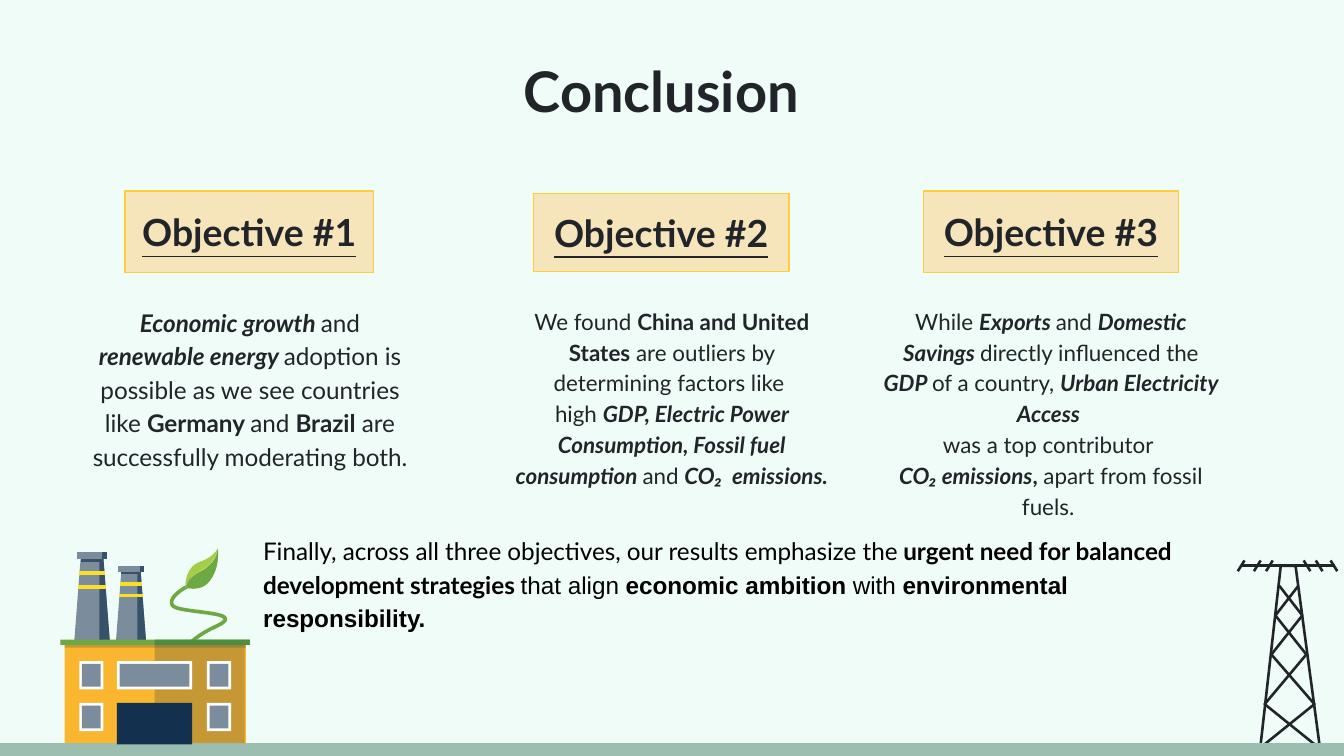
from lxml.etree import SubElement
from pptx import Presentation
from pptx.dml.color import RGBColor
from pptx.enum.shapes import MSO_SHAPE
from pptx.enum.text import MSO_ANCHOR, PP_ALIGN
from pptx.oxml.ns import qn
from pptx.util import Inches, Pt

COLORS = {
    "background": "F0FCF8", "ink": "212529", "black": "000000", "ground": "9BBEB0",
    "label": "F6E5BB", "label line": "FCCE39", "steel": "7B8C9D", "steel shade": "38516A",
    "stripe": "FBDE25", "wall": "F9B62E", "navy": "13304E", "green": "6EA843",
    "dark green": "4E8D3A", "lime": "A4CD49", "vein": "DBEBB7", "white": "FFFFFF",
}
OBJECTIVES = [
    ("Objective #1", (0.93, 1.42, 1.85, 0.61), (0.58, 2.16, 2.56, 2.36), 13, [
        [("Economic growth ", "bi"), ("and ", ""), ("renewable energy ", "bi"),
         ("adoption is possible as we see countries like ", ""), ("Germany ", "b"),
         ("and ", ""), ("Brazil", "b"), (" are successfully moderating both.", "")],
    ]),
    ("Objective #2", (3.97, 1.44, 1.9, 0.58), (3.72, 2.16, 2.56, 1.65), 12, [
        [("We found ", ""), ("China and United States", "b"),
         (" are outliers by determining factors like ", "")],
        [("high ", ""), ("GDP, Electric Power Consumption, Fossil fuel consumption ", "bi"),
         ("and ", ""), ("CO₂  emissions.", "bi")],
    ]),
    ("Objective #3", (6.87, 1.42, 1.9, 0.61), (6.44, 2.16, 2.76, 2.09), 12, [
        [("While ", ""), ("Exports ", "bi"), ("and ", ""), ("Domestic Savings ", "bi"),
         ("directly influenced the ", ""), ("GDP ", "bi"), ("of a country, ", ""),
         ("Urban Electricity Access ", "bi")],
        [("was a top contributor ", "")],
        [("CO₂ emissions", "bi"), (", ", "b"), ("apart from fossil fuels. ", "")],
    ]),
]
SUMMARY = [[
    ("Finally, across all three objectives, our results emphasize the ", "", "Lato"),
    ("urgent need for balanced development strategies ", "b", "Lato"),
    ("that align ", "", "Arial"), ("economic ambition", "b", "Arial"),
    (" with ", "", "Arial"), ("environmental responsibility.", "b", "Arial"),
]]
TOWER_LINES = [
    [(9.37, 5.63), (9.53, 4.21), (9.64, 4.21), (9.83, 5.63)],
    [(9.82, 5.57), (9.41, 5.24), (9.72, 4.87), (9.49, 4.58), (9.66, 4.36)],
    [(9.37, 5.57), (9.78, 5.24), (9.46, 4.87), (9.69, 4.58), (9.52, 4.36)],
    [(9.24, 4.21), (9.93, 4.21)],
]
RIGHT_TICKS = [9.7, 9.79, 9.9]
LEFT_TICKS = [9.21, 9.33, 9.42]
CHIMNEYS = [(0.55, 1), (0.86, 0.85)]
CHIMNEY_PARTS = [
    ("steel", [(0.05, 0.65), (0, 0), (0.27, 0), (0.22, 0.65)]),
    ("steel shade", [(0.19, 0.65), (0.19, 0), (0.27, 0), (0.22, 0.65)]),
    ("steel", [(0.02, 0.7), (0.02, 0.65), (0.25, 0.65), (0.25, 0.7)]),
    ("steel shade", [(0.05, 0.65), (0.05, 0.63), (0.22, 0.63), (0.22, 0.65)]),
    ("stripe", [(0.04, 0.56), (0.04, 0.53), (0.23, 0.53), (0.23, 0.56)]),
    ("stripe", [(0.03, 0.46), (0.03, 0.43), (0.24, 0.43), (0.24, 0.46)]),
    ("steel shade", [(0.21, 0.7), (0.21, 0.65), (0.25, 0.65), (0.25, 0.7)]),
]
BUILDING = [
    ((0.48, 4.8, 1.35, 0.73), "wall", None),
    ((1.15, 4.8, 0.67, 0.73), "navy", 22),
    ((0.45, 4.76, 1.41, 0.04), "green", None),
    ((1.15, 4.76, 0.71, 0.04), "dark green", None),
    ((0.48, 4.8, 1.35, 0.02), "navy", 22),
    ((0.87, 5.23, 0.56, 0.31), "navy", None),
]
WINDOWS = [(x, y, 0.18, 0.21) for x in (0.59, 1.54) for y in (4.92, 5.23)]
WINDOWS.append((0.87, 4.92, 0.56, 0.21))
STEM = [(1.42, 4.35), (1.42, 4.35, 1.25, 4.43, 1.28, 4.5),
        (1.3, 4.57, 1.87, 4.54, 1.61, 4.66), (1.35, 4.78, 1.31, 4.9, 1.42, 5.02)]
LEAF_EDGE = [(1.38, 4.37, 1.4, 4.38, 1.44, 4.38), (1.48, 4.38, 1.53, 4.37, 1.57, 4.31),
             (1.64, 4.21, 1.62, 4.08, 1.62, 4.08)]
LEAF = [
    ("lime", [(1.62, 4.08), (1.62, 4.08, 1.6, 4.14, 1.49, 4.18),
              (1.37, 4.22, 1.38, 4.37, 1.38, 4.37)] + LEAF_EDGE),
    ("green", [(1.62, 4.08), (1.62, 4.08, 1.61, 4.19, 1.5, 4.25),
               (1.38, 4.3, 1.38, 4.37, 1.38, 4.37)] + LEAF_EDGE),
    ("vein", [(1.62, 4.08), (1.61, 4.15, 1.56, 4.21, 1.51, 4.24),
              (1.47, 4.26, 1.39, 4.31, 1.38, 4.37), (1.41, 4.29, 1.46, 4.27, 1.49, 4.25),
              (1.54, 4.22, 1.61, 4.18, 1.62, 4.08)]),
]


def color(name):
    return RGBColor.from_string(COLORS[name])


def paint(shape, fill=None, line=None, width=0.75, alpha=None):
    shape.shadow.inherit = False
    if fill:
        shape.fill.solid()
        shape.fill.fore_color.rgb = color(fill)
    else:
        shape.fill.background()
    if alpha:
        tint = shape.fill._xPr.find(qn("a:solidFill"))[0]
        SubElement(tint, qn("a:alpha"), val=str(alpha * 1000))
    if line:
        shape.line.color.rgb = color(line)
        shape.line.width = Pt(width)
    else:
        shape.line.fill.background()
    return shape


def add_rectangle(shapes, box, **style):
    shape = shapes.add_shape(MSO_SHAPE.RECTANGLE, *map(Inches, box))
    return paint(shape, **style)


def flatten(outline, steps=16):
    points = [outline[0]]
    for segment in outline[1:]:
        if len(segment) == 2:
            points.append(segment)
            continue
        corners = [points[-1], segment[:2], segment[2:4], segment[4:]]
        for step in range(1, steps + 1):
            t = step / steps
            weights = ((1 - t) ** 3, 3 * t * (1 - t) ** 2, 3 * t * t * (1 - t), t ** 3)
            points.append(tuple(sum(w * c[axis] for w, c in zip(weights, corners))
                                for axis in (0, 1)))
    return points


def add_outline(shapes, outline, closed=True, **style):
    points = [(Inches(x), Inches(y)) for x, y in flatten(outline)]
    builder = shapes.build_freeform(*points[0], scale=1.0)
    builder.add_line_segments(points[1:], close=closed)
    return paint(builder.convert_to_shape(), **style)


def write_text(shape, paragraphs, size=12, ink="ink", align=PP_ALIGN.CENTER,
               anchor=MSO_ANCHOR.TOP, spacing=None, underline=None):
    frame = shape.text_frame
    frame.word_wrap = True
    frame.vertical_anchor = anchor
    frame.margin_left = frame.margin_right = Inches(0.1)
    frame.margin_top = frame.margin_bottom = Inches(0.1)
    for index, runs in enumerate(paragraphs):
        paragraph = frame.add_paragraph() if index else frame.paragraphs[0]
        paragraph.alignment = align
        paragraph.line_spacing = spacing
        for text, emphasis, *face in runs:
            run = paragraph.add_run()
            run.text = text
            run.font.name = face[0] if face else "Lato"
            run.font.size = Pt(size)
            run.font.color.rgb = color(ink)
            run.font.bold = "b" in emphasis
            run.font.italic = "i" in emphasis
            run.font.underline = underline


def add_text(shapes, box, paragraphs, **style):
    write_text(shapes.add_textbox(*map(Inches, box)), paragraphs, **style)


def draw_tower(shapes):
    ticks = [[(x, 4.17), (x + 0.05, 4.25)] for x in RIGHT_TICKS]
    ticks += [[(x, 4.25), (x + 0.05, 4.17)] for x in LEFT_TICKS]
    for points in TOWER_LINES + ticks:
        add_outline(shapes, points, closed=False, line="ink", width=1.4)


def draw_factory(shapes):
    add_outline(shapes, STEM, closed=False, line="green", width=1.97)
    for left, scale in CHIMNEYS:
        for fill, corners in CHIMNEY_PARTS:
            placed = [(left + x * scale, 4.81 - y * scale) for x, y in corners]
            add_outline(shapes, placed, fill=fill)
    for box, fill, alpha in BUILDING:
        add_rectangle(shapes, box, fill=fill, alpha=alpha)
    for fill, outline in LEAF:
        add_outline(shapes, outline, fill=fill)
    for left, top, width, height in WINDOWS:
        add_rectangle(shapes, (left, top, width, height), fill="white")
        pane = (left + 0.02, top + 0.02, width - 0.04, height - 0.04)
        add_rectangle(shapes, pane, fill="steel")


def main():
    """Build the conclusion slide and save it."""
    presentation = Presentation()
    presentation.slide_width = Inches(10)
    presentation.slide_height = Inches(10 * 9 / 16)
    slide = presentation.slides.add_slide(presentation.slide_layouts[6])
    slide.background.fill.solid()
    slide.background.fill.fore_color.rgb = color("background")
    shapes = slide.shapes
    draw_tower(shapes.add_group_shape().shapes)
    add_rectangle(shapes, (-0.05, 5.53, 10.05, 0.16), fill="ground")
    for heading, label_box, body_box, size, paragraphs in OBJECTIVES:
        label = add_rectangle(shapes, label_box, fill="label", line="label line")
        write_text(label, [[(heading, "b")]], size=20, anchor=MSO_ANCHOR.MIDDLE, underline=True)
        add_text(shapes, body_box, paragraphs, size=size, spacing=1.15)
    draw_factory(shapes.add_group_shape().shapes)
    add_text(shapes, (3.8, 0.32, 2.4, 0.71), [[("Conclusion", "b")]], size=30, align=PP_ALIGN.LEFT)
    add_text(shapes, (1.86, 3.86, 7.36, 1.06), SUMMARY, size=13, ink="black",
             align=PP_ALIGN.LEFT, spacing=1.15)
    presentation.save("out.pptx")


if __name__ == "__main__":
    main()
